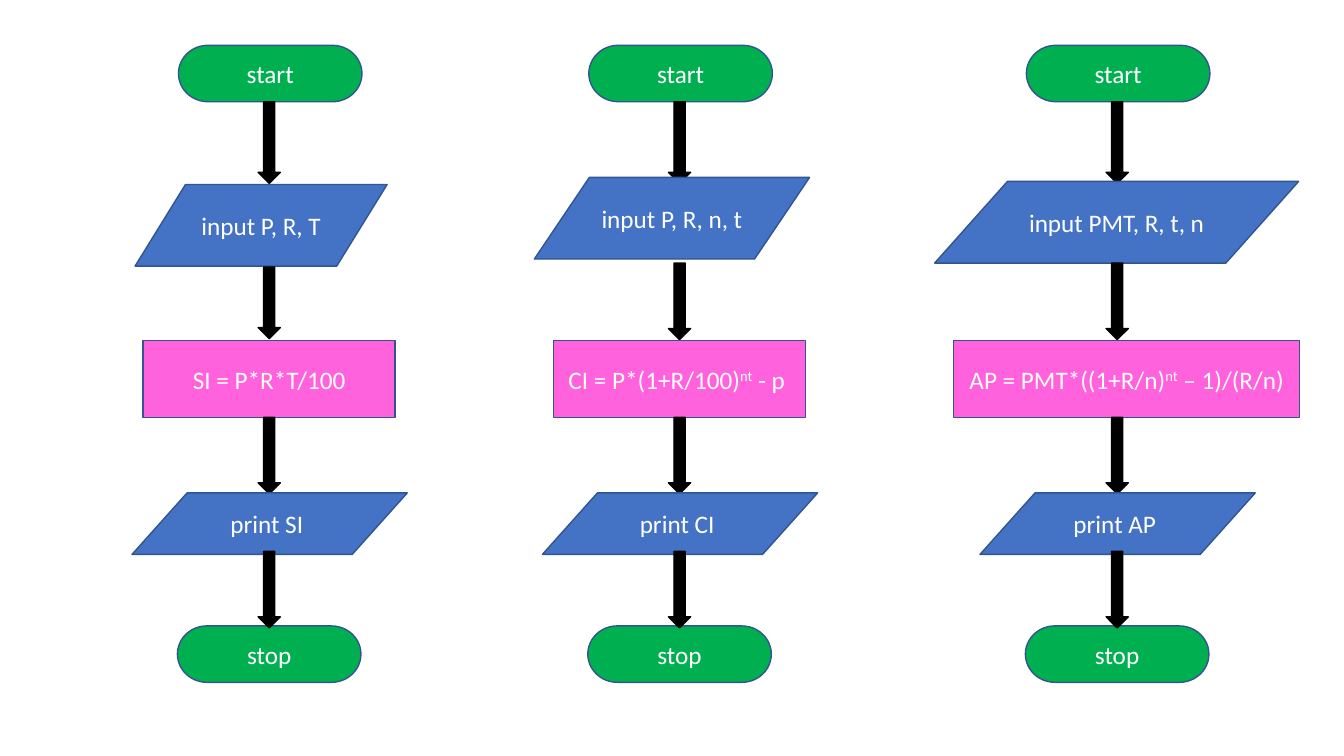
from pptx import Presentation
from pptx.dml.color import RGBColor
from pptx.enum.shapes import MSO_SHAPE
from pptx.enum.text import MSO_ANCHOR, PP_ALIGN
from pptx.util import Inches, Pt

# Content: axis, input (offset, top, width), first gap arrow, process (offset, width);
# a run is (text, raised)
charts = [
    {"axis": 2.67, "input": (-1.33, 1.83, 2.5), "drop": (2.65, 0.71),
     "rule": (-1.25, 2.5), "ask": "input P, R, T",
     "sum": [("SI = P*R*T/100", False)], "show": "print SI "},
    {"axis": 6.74, "input": (-1.44, 1.76, 2.73), "drop": (2.61, 0.76),
     "rule": (-1.25, 2.5), "ask": "input P, R, n, t",
     "sum": [("CI = P*(1+R/100)", False), ("nt", True), (" - p ", False)],
     "show": "print CI "},
    {"axis": 11.08, "input": (-1.81, 1.8, 3.61), "drop": (2.61, 0.76),
     "rule": (-1.62, 3.43), "ask": "input PMT, R, t, n",
     "sum": [("AP = PMT*((1+R/n)", False), ("nt", True), (" – 1)/(R/n)", False)],
     "show": "print AP "},
]

theme = {"font": "Calibri", "size": Pt(18), "line": Pt(1),
         "text": "FFFFFF", "edge": "325491", "arrow": "000000",
         "end": "00B050", "data": "4472C4", "rule": "FF62DC"}
kinds = {"end": MSO_SHAPE.FLOWCHART_TERMINATOR, "data": MSO_SHAPE.FLOWCHART_DATA,
         "rule": MSO_SHAPE.RECTANGLE, "arrow": MSO_SHAPE.DOWN_ARROW}

deck = Presentation()
deck.slide_width, deck.slide_height = Inches(13.33), Inches(7.5)
slide = deck.slides.add_slide(deck.slide_layouts[6])


def draw(kind, left, top, width, height, edge="edge"):
    shape = slide.shapes.add_shape(
        kinds[kind], Inches(left), Inches(top), Inches(width), Inches(height))
    shape.shadow.inherit = False
    shape.fill.solid()
    shape.fill.fore_color.rgb = RGBColor.from_string(theme[kind])
    shape.line.color.rgb = RGBColor.from_string(theme[edge])
    shape.line.width = theme["line"]
    return shape


def step(kind, left, top, width, height, runs):
    frame = draw(kind, left, top, width, height).text_frame
    frame.word_wrap = True
    frame.vertical_anchor = MSO_ANCHOR.MIDDLE
    para = frame.paragraphs[0]
    para.alignment = PP_ALIGN.CENTER
    for text, raised in runs:
        run = para.add_run()
        run.text = text
        run.font.name, run.font.size = theme["font"], theme["size"]
        run.font.color.rgb = RGBColor.from_string(theme["text"])
        if raised:
            run._r.get_or_add_rPr().set("baseline", "30000")


def arrow(axis, top, height):
    draw("arrow", axis - 0.11, top, 0.22, height, "arrow")


# Each flow runs down its axis; the last arrow lies over the stop
for chart in charts:
    axis = chart["axis"]
    shift, top, width = chart["input"]
    inset, span = chart["rule"]
    step("end", axis - 0.9, 0.45, 1.82, 0.56, [("start", False)])
    arrow(axis, 1.01, 0.81)
    step("data", axis + shift, top, width, 0.81, [(chart["ask"], False)])
    arrow(axis, *chart["drop"])
    step("rule", axis + inset, 3.38, span, 0.76, chart["sum"])
    arrow(axis, 4.14, 0.76)
    step("data", axis - 1.36, 4.89, 2.73, 0.61, [(chart["show"], False)])
    step("end", axis - 0.91, 6.21, 1.82, 0.56, [("stop", False)])
    arrow(axis, 5.47, 0.76)

deck.save("out.pptx")
